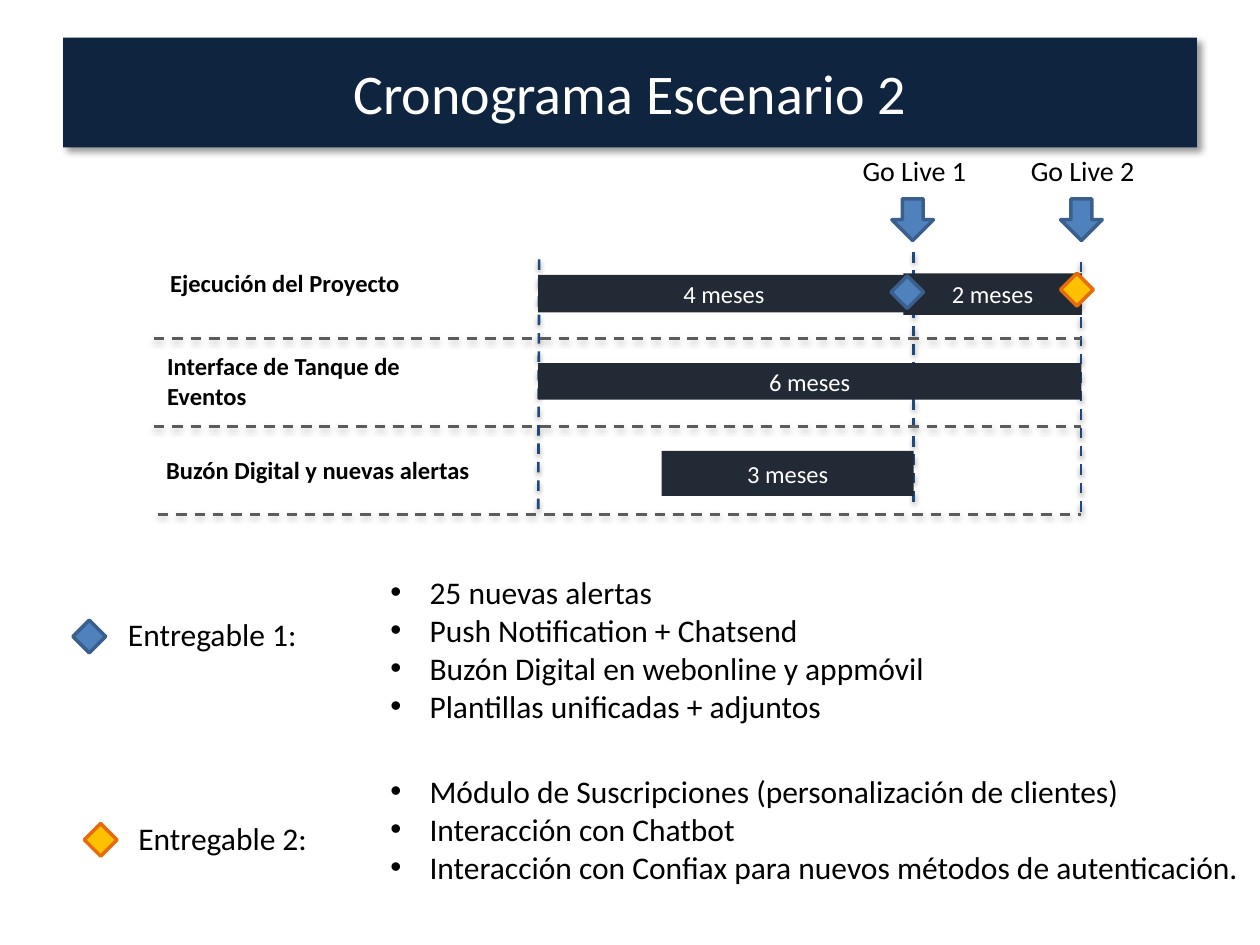
from lxml import etree
from pptx import Presentation
from pptx.dml.color import RGBColor
from pptx.enum.dml import MSO_LINE
from pptx.enum.shapes import MSO_CONNECTOR, MSO_SHAPE
from pptx.enum.text import MSO_ANCHOR, MSO_AUTO_SIZE, PP_ALIGN
from pptx.oxml.ns import qn
from pptx.util import Cm, Pt
from dataclasses import dataclass

LINE = MSO_CONNECTOR.STRAIGHT
DASH = MSO_LINE.DASH
RECT, GEM, DOWN = MSO_SHAPE.RECTANGLE, MSO_SHAPE.DIAMOND, MSO_SHAPE.DOWN_ARROW
MIDDLE, TOP = MSO_ANCHOR.MIDDLE, MSO_ANCHOR.TOP
GROW = MSO_AUTO_SIZE.SHAPE_TO_FIT_TEXT
LEFT, CENTER = PP_ALIGN.LEFT, PP_ALIGN.CENTER


@dataclass
class Theme:
    font = "Calibri"
    ink = RGBColor.from_string("000000")
    white = RGBColor.from_string("FFFFFF")
    navy = RGBColor.from_string("0F243E")
    slate = RGBColor.from_string("222A35")
    gray = RGBColor.from_string("5C5C5C")
    deep = RGBColor.from_string("1F497D")
    blue = RGBColor.from_string("4F81BD")
    edge = RGBColor.from_string("3A5F8C")
    gold = RGBColor.from_string("FFC000")
    rust = RGBColor.from_string("E46C0A")
    title = Pt(32)
    body = Pt(18)
    label = Pt(16)
    small = Pt(14)


theme = Theme()


def write(shape, text, size, color=theme.ink, bold=False, align=LEFT,
          anchor=TOP, wrap=True, grow=False, bullet=False):
    frame = shape.text_frame
    frame.word_wrap = wrap
    frame.vertical_anchor = anchor
    if grow:
        frame.auto_size = GROW
    frame.text = text
    for para in frame.paragraphs:
        para.alignment = align
        if bullet:
            props = para._p.get_or_add_pPr()
            props.set("marL", str(Cm(0.79)))
            props.set("indent", str(-Cm(0.79)))
            etree.SubElement(props, qn("a:buFont")).set("typeface", "Arial")
            etree.SubElement(props, qn("a:buChar")).set("char", "•")
        for run in para.runs:
            run.font.name = theme.font
            run.font.size = size
            run.font.bold = bold
            run.font.color.rgb = color


def shade(shape, blur, dist, angle, alpha):
    props = shape._element.spPr
    effects = etree.SubElement(props, qn("a:effectLst"))
    outer = etree.SubElement(
        effects, qn("a:outerShdw"), blurRad=str(Pt(blur)), dist=str(Pt(dist)),
        dir=str(angle * 60000), algn="tl", rotWithShape="0")
    color = etree.SubElement(outer, qn("a:srgbClr"), val="000000")
    etree.SubElement(color, qn("a:alpha"), val=str(alpha * 1000))


deck = Presentation()
deck.slide_width, deck.slide_height = Cm(25.4), Cm(19.05)
slide = deck.slides.add_slide(deck.slide_layouts[5])
shapes = slide.shapes

title = shapes.title
title.left, title.top, title.width, title.height = Cm(1.27), Cm(0.76), Cm(22.86), Cm(2.21)
title.fill.solid()
title.fill.fore_color.rgb = theme.navy
shade(title, 4, 3, 45, 40)
write(title, "Cronograma Escenario 2", theme.title, color=theme.white,
      align=CENTER, anchor=MIDDLE)

start, live, end = 10.85, 18.42, 21.79
rules = [
    (live, 5.08, live, 10.21, theme.deep),
    (start + 0.02, 5.23, start, 10.36, theme.deep),
    (end, 5.28, end, 10.44, theme.deep),
]
for row, left in enumerate((3.1, 3.1, 3.18)):
    y = 6.83 + 1.77 * row
    rules.append((left, y, end, y, theme.gray))
for x1, y1, x2, y2, color in rules:
    rule = shapes.add_connector(LINE, Cm(x1), Cm(y1), Cm(x2), Cm(y2))
    rule.line.color.rgb = color
    rule.line.width = Pt(1.5)
    rule.line.dash_style = DASH
    shade(rule, 3.1, 1.6, 90, 38)

for text, left, top, width, height in (
    ("2 meses", 18.21, 5.51, 3.6, 0.84),
    ("4 meses", start, 5.54, 7.49, 0.76),
    ("6 meses", start, 7.32, 10.95, 0.74),
    ("3 meses", 13.34, 9.09, 5.08, 0.91),
):
    bar = shapes.add_shape(RECT, Cm(left), Cm(top), Cm(width), Cm(height))
    bar.shadow.inherit = False
    bar.fill.solid()
    bar.fill.fore_color.rgb = theme.slate
    bar.line.fill.background()
    write(bar, text, theme.small, color=theme.white, align=CENTER, anchor=MIDDLE)

for kind, left, top, size, fill, edge in (
    (DOWN, 17.98, 4.01, 0.84, theme.blue, theme.edge),
    (DOWN, 21.38, 4.01, 0.84, theme.blue, theme.edge),
    (GEM, 17.96, 5.56, 0.66, theme.blue, theme.edge),
    (GEM, 21.38, 5.51, 0.66, theme.gold, theme.rust),
    (GEM, 1.47, 12.5, 0.66, theme.blue, theme.edge),
    (GEM, 1.7, 16.6, 0.66, theme.gold, theme.rust),
):
    mark = shapes.add_shape(kind, Cm(left), Cm(top), Cm(size), Cm(size))
    mark.shadow.inherit = False
    mark.fill.solid()
    mark.fill.fore_color.rgb = fill
    mark.line.color.rgb = edge
    mark.line.width = Pt(2)

task = dict(size=theme.small, bold=True)
flag = dict(size=theme.label, wrap=False)
key = dict(size=theme.body, wrap=False)
points = dict(size=theme.body, bullet=True)
first = "\n".join((
    "25 nuevas alertas",
    "Push Notification + Chatsend",
    "Buzón Digital en webonline y appmóvil",
    "Plantillas unificadas + adjuntos",
))
second = "\n".join((
    "Módulo de Suscripciones (personalización de clientes)",
    "Interacción con Chatbot",
    "Interacción con Confiax para nuevos métodos de autenticación.",
))
for text, left, top, width, height, style in (
    ("Ejecución del Proyecto", 3.18, 5.28, 6.1, 0.86, task),
    ("Interface de Tanque de Eventos", 3.12, 6.96, 6.1, 1.45, task),
    ("Buzón Digital y nuevas alertas", 3.1, 9.04, 6.99, 0.86, task),
    ("Go Live 1", 17.14, 2.97, 2.64, 0.94, flag),
    ("Go Live 2", 20.53, 2.97, 2.64, 0.94, flag),
    ("Entregable 1:", 2.33, 12.27, 3.96, 1.02, key),
    ("Entregable 2:", 2.54, 16.38, 3.96, 1.02, key),
    (first, 7.62, 11.43, 14.17, 3.33, points),
    (second, 7.62, 15.44, 17.78, 3.33, points),
):
    box = shapes.add_textbox(Cm(left), Cm(top), Cm(width), Cm(height))
    write(box, text, grow=True, **style)

deck.save("out.pptx")
